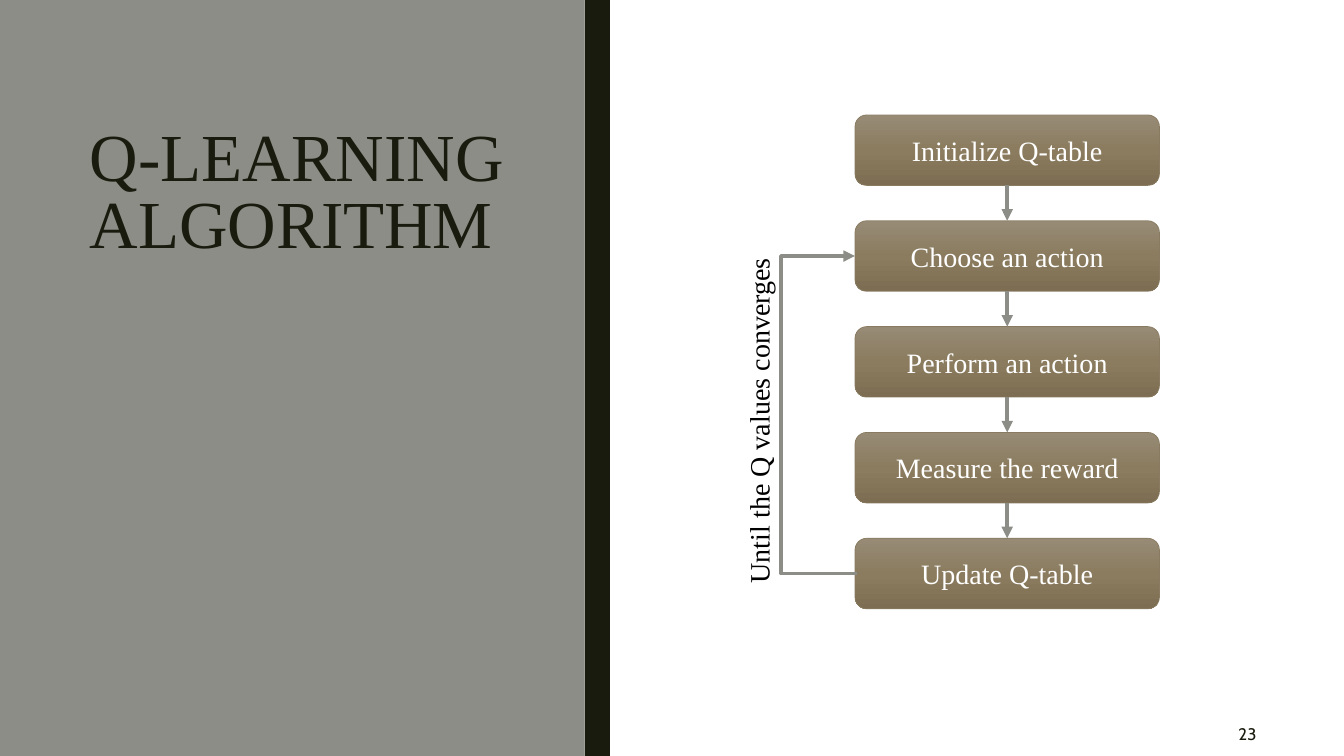
from copy import deepcopy

from lxml import etree
from pptx import Presentation
from pptx.dml.color import RGBColor
from pptx.enum.shapes import MSO_CONNECTOR, MSO_SHAPE
from pptx.enum.text import MSO_ANCHOR, MSO_AUTO_SIZE, PP_ALIGN
from pptx.oxml.ns import qn
from pptx.util import Inches, Pt

RECT, ROUNDED = MSO_SHAPE.RECTANGLE, MSO_SHAPE.ROUNDED_RECTANGLE
STRAIGHT, ELBOW = MSO_CONNECTOR.STRAIGHT, MSO_CONNECTOR.ELBOW
LEFT, CENTER, RIGHT = PP_ALIGN.LEFT, PP_ALIGN.CENTER, PP_ALIGN.RIGHT
MIDDLE = MSO_ANCHOR.MIDDLE
TOP_SIDE, BOTTOM_SIDE = 0, 2

TITLE = "Q-LEARNING ALGORITHM"
STEPS = ["Initialize Q-table", "Choose an action", "Perform an action",
         "Measure the reward", "Update Q-table"]
LOOP_START, LOOP_END = 4, 1
LOOP_LABEL = "Until the Q values converges"
PAGE_NUMBER = "23"

COLORS = {"panel": "8C8D86", "dark": "191B0E", "arrow": "8C8D86",
          "step_line": "897B61", "white": "FFFFFF", "black": "000000"}
STEP_GRADIENT = [(0, "978B76"), (0.5, "8B7C5F"), (1, "7D6E53")]
SERIF, SANS = "Times New Roman", "Cabin"

# Left, top, width, height in inches
PANELS = [((0, 0, 5.8, 7.5), "panel"), ((5.8, 0, 0.25, 7.5), "dark")]
TITLE_BOX = (0.79, 0.75, 4.44, 2.36)
PAGE_BOX = (10.81, 7.06, 1.75, 0.44)
LABEL_BOX = (5.8, 3.94, 3.45, 0.44)
STEP_LEFT, STEP_TOP, STEP_WIDTH, STEP_HEIGHT = 8.48, 1.14, 3.02, 0.7
STEP_PITCH = 1.05
LOOP_LEFT, LOOP_OVERLAP = 7.75, 0.02


def rgb(name):
    return RGBColor.from_string(COLORS[name])


def inches(box):
    return [Inches(length) for length in box]


def write(shape, text, size, color, align=LEFT, font=SERIF):
    frame = shape.text_frame
    frame.text = text
    paragraph = frame.paragraphs[0]
    paragraph.alignment = align
    paragraph.font.size = Pt(size)
    paragraph.font.name = font
    paragraph.font.color.rgb = rgb(color)
    return paragraph


def fill_step(shape):
    """Give a step its three-stop vertical gradient."""
    shape.fill.gradient()
    shape.fill.gradient_angle = 270
    stop_list = shape._element.spPr.find(".//" + qn("a:gsLst"))
    stop_list.append(deepcopy(stop_list[0]))
    for stop, (position, color) in zip(shape.fill.gradient_stops, STEP_GRADIENT):
        stop.position = position
        stop.color.rgb = RGBColor.from_string(color)


def add_arrow(shapes, kind, start, end):
    arrow = shapes.add_connector(kind, *inches(start), *inches(end))
    arrow.line.color.rgb = rgb("arrow")
    arrow.line.width = Pt(2.75)
    etree.SubElement(arrow.line._get_or_add_ln(), qn("a:tailEnd"), type="triangle")
    etree.SubElement(arrow._element.spPr, qn("a:effectLst"))
    return arrow


def add_panels_and_title(slide):
    for box, color in PANELS:
        panel = slide.shapes.add_shape(RECT, *inches(box))
        panel.shadow.inherit = False
        panel.fill.solid()
        panel.fill.fore_color.rgb = rgb(color)
        panel.line.fill.background()

    title = slide.shapes.title
    title.left, title.top, title.width, title.height = inches(TITLE_BOX)
    title.text_frame.word_wrap = True
    title.text_frame.auto_size = MSO_AUTO_SIZE.NONE
    title.text_frame.vertical_anchor = MIDDLE
    write(title, TITLE, 48, "dark").line_spacing = 0.84
    slide.shapes._spTree.append(title._element)  # in front of the panels


def add_flow(shapes):
    tops = [STEP_TOP + i * STEP_PITCH for i in range(len(STEPS))]
    steps = []
    for text, top in zip(STEPS, tops):
        step = shapes.add_shape(
            ROUNDED, *inches((STEP_LEFT, top, STEP_WIDTH, STEP_HEIGHT)))
        step.shadow.inherit = False
        fill_step(step)
        step.line.color.rgb = rgb("step_line")
        step.line.width = Pt(0.5)
        step.text_frame.vertical_anchor = MIDDLE
        write(step, text, 20, "white", CENTER)
        steps.append(step)

    center = STEP_LEFT + STEP_WIDTH / 2
    for i in range(len(steps) - 1):
        arrow = add_arrow(shapes, STRAIGHT, (center, tops[i] + STEP_HEIGHT),
                          (center, tops[i + 1]))
        arrow.begin_connect(steps[i], BOTTOM_SIDE)
        arrow.end_connect(steps[i + 1], TOP_SIDE)

    loop_x = STEP_LEFT + LOOP_OVERLAP
    loop = add_arrow(shapes, ELBOW,
                     (loop_x, tops[LOOP_START] + STEP_HEIGHT / 2),
                     (STEP_LEFT, tops[LOOP_END] + STEP_HEIGHT / 2))
    # The bend is measured in multiples of the connector's width
    bend = round((loop_x - LOOP_LEFT) / LOOP_OVERLAP * 100000)
    guides = loop._element.spPr.find(".//" + qn("a:avLst"))
    etree.SubElement(guides, qn("a:gd"), name="adj1", fmla=f"val {bend}")


def add_labels(shapes):
    label = shapes.add_textbox(*inches(LABEL_BOX))
    label.rotation = 270
    label.text_frame.word_wrap = False
    write(label, LOOP_LABEL, 20, "black")

    page = shapes.add_textbox(*inches(PAGE_BOX))
    page.text_frame.word_wrap = True
    page.text_frame.vertical_anchor = MIDDLE
    write(page, PAGE_NUMBER, 12, "dark", RIGHT, SANS).space_after = Pt(6)


def main():
    prs = Presentation()
    prs.slide_width, prs.slide_height = Inches(13.33), Inches(7.5)
    slide = prs.slides.add_slide(prs.slide_layouts[5])
    add_panels_and_title(slide)
    add_flow(slide.shapes)
    add_labels(slide.shapes)
    prs.save("out.pptx")


if __name__ == "__main__":
    main()
